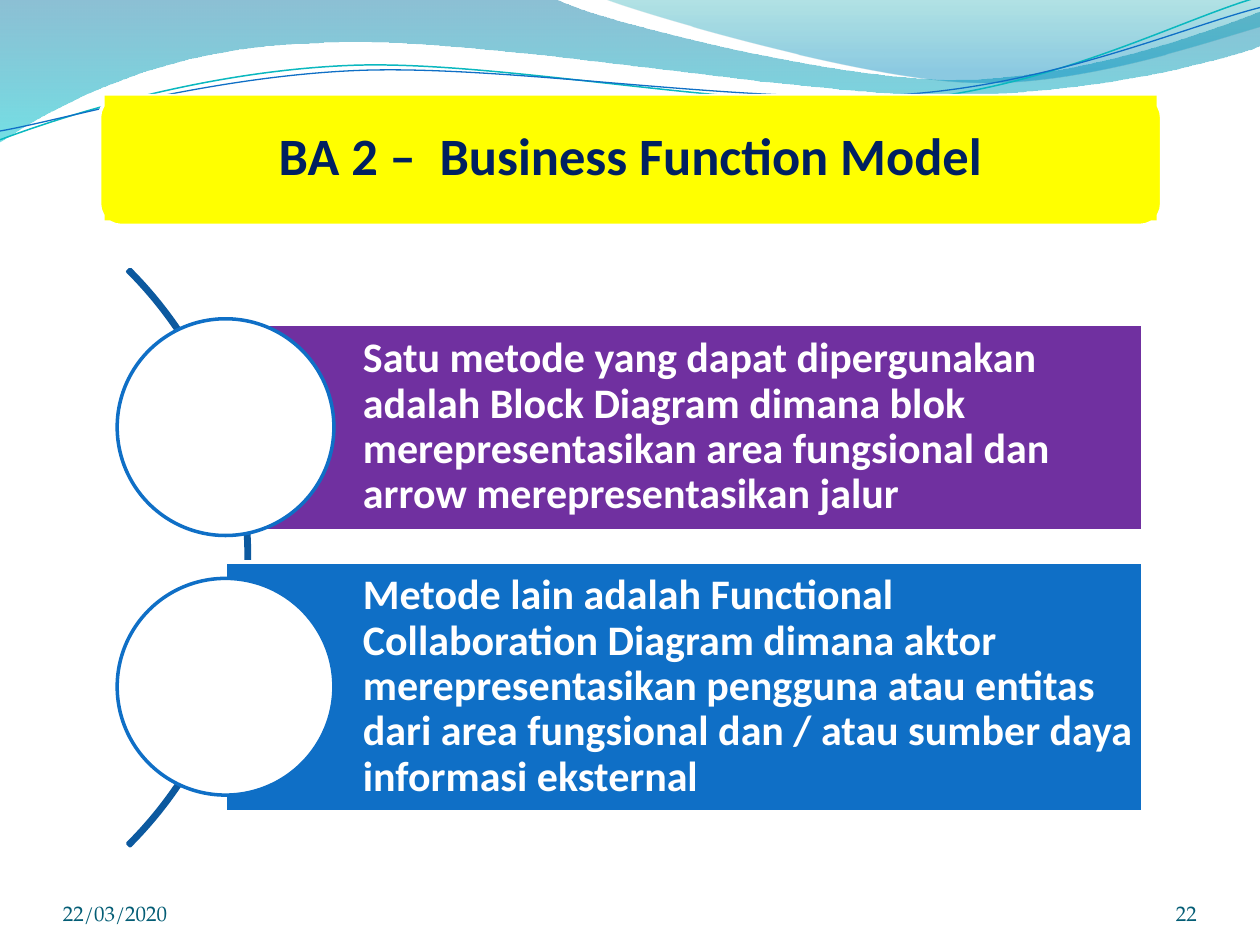
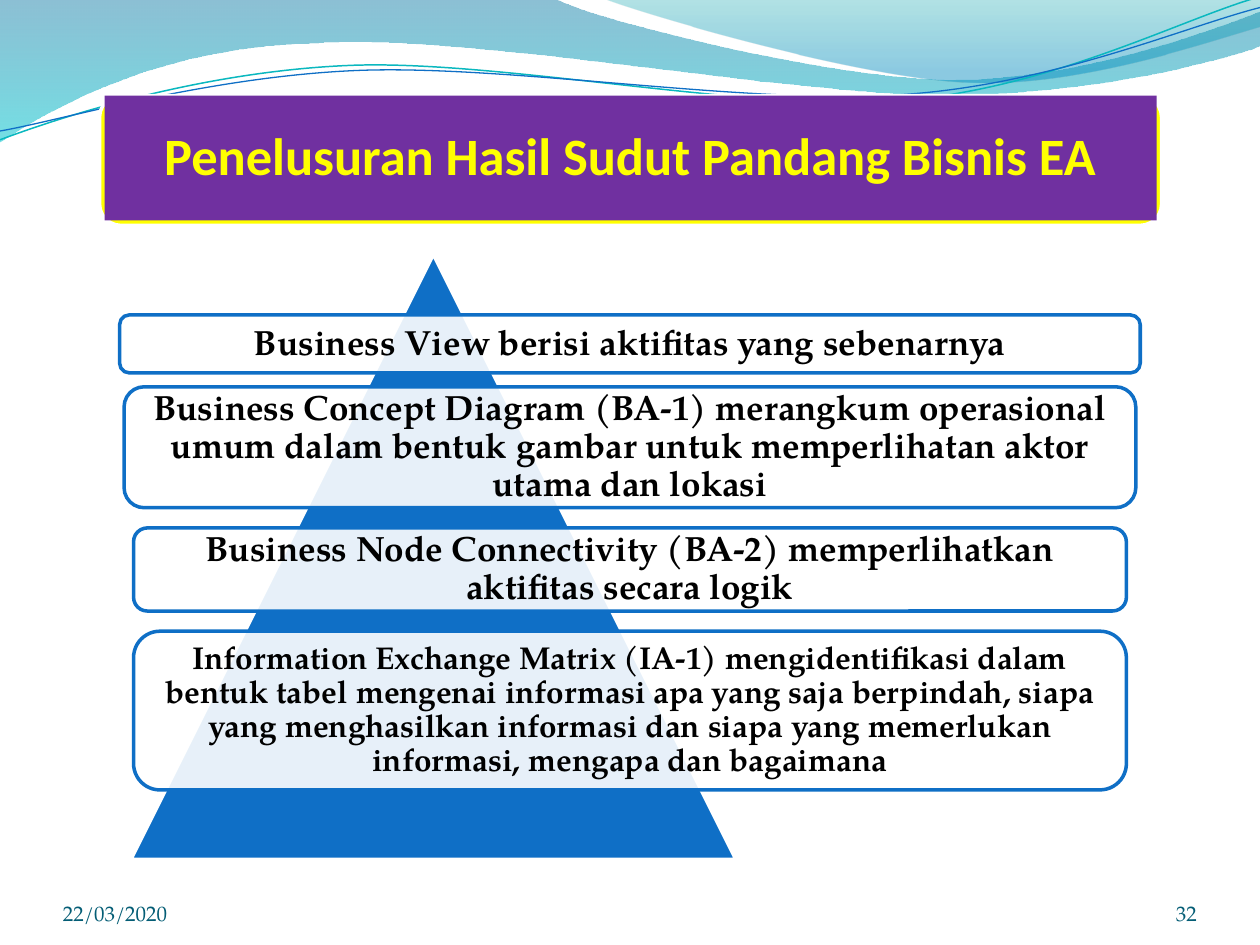
"""Builds two slides on business architecture, with a shared wave header, title band and footer."""
import lxml.etree
import pptx
import pptx.dml.color
import pptx.enum.shapes
import pptx.enum.text
import pptx.oxml.ns
import pptx.util

Inches = pptx.util.Inches
Pt = pptx.util.Pt
RGBColor = pptx.dml.color.RGBColor
SHAPE = pptx.enum.shapes.MSO_SHAPE
ANCHOR = pptx.enum.text.MSO_ANCHOR
ALIGN = pptx.enum.text.PP_ALIGN

WHITE = RGBColor(0xFF, 0xFF, 0xFF)
BLACK = RGBColor(0x00, 0x00, 0x00)
YELLOW = RGBColor(0xFF, 0xFF, 0x00)
PURPLE = RGBColor(0x70, 0x30, 0xA0)
NAVY = RGBColor(0x00, 0x20, 0x60)
BLUE = RGBColor(0x0F, 0x6F, 0xC6)
ARC_BLUE = RGBColor(0x0C, 0x59, 0x9F)
TEAL = RGBColor(0x0A, 0xB8, 0xBF)
FOOTER_BLUE = RGBColor(0x04, 0x5D, 0x75)
DEEP_SEA = RGBColor(0x00, 0x74, 0xA1)
TURQUOISE = RGBColor(0x00, 0xC6, 0xCF)
LAGOON = RGBColor(0x00, 0xA1, 0xA9)
SKY = RGBColor(0x00, 0x8B, 0xBF)

HEADING_FONT = "Calibri"
BODY_FONT = "TeX Gyre Pagella"
DATE = "22/03/2020"

WAVES = [
    {"outline": [(0, 0), (4.4, -0.01), (4.76, 0.17, 6.64, 0.63, 7.58, 0.63),
                 (8.53, 0.63, 9.58, 0.26, 10, 0.09), (10.01, 0.36),
                 (9.83, 0.44, 8.7, 0.76, 7.46, 0.75), (6.22, 0.75, 3.82, 0.28, 2.57, 0.34),
                 (1.29, 0.36, 0.46, 0.83, -0.01, 1.13), (0, 0)],
     "gradient": [(0, DEEP_SEA, 45), (1, TURQUOISE, 55)]},
    {"outline": [(4.79, -0.01), (5.09, 0.11, 6.82, 0.62, 7.69, 0.65),
                 (8.56, 0.69, 9.61, 0.32, 10, 0.21), (10, 0), (4.79, -0.01)],
     "gradient": [(0, LAGOON, 30), (0.8, SKY, 45)]},
    {"outline": [(0, 1.11), (0.48, 0.93, 1.58, 0.57, 2.77, 0.52),
                 (3.95, 0.47, 5.93, 0.89, 7.13, 0.8), (8.33, 0.71, 9.38, 0.15, 9.98, -0.02)],
     "stroke": (TEAL, 0.85)},
    {"outline": [(0, 1.04), (0.47, 0.96, 1.64, 0.61, 2.83, 0.56),
                 (4.03, 0.51, 5.97, 0.84, 7.17, 0.75), (8.36, 0.67, 9.41, 0.21, 10, 0.06)],
     "stroke": (BLUE, 0.75)},
]

FUNCTION_MODEL = {
    "title": "BA 2 –  Business Function Model", "number": "22",
    "title_fill": YELLOW, "title_colour": NAVY,
    "methods": [
        ("Satu metode yang dapat dipergunakan adalah Block Diagram dimana blok "
         "merepresentasikan area fungsional dan arrow merepresentasikan jalur", PURPLE, 1.64),
        ("Metode lain adalah Functional Collaboration Diagram dimana aktor "
         "merepresentasikan pengguna atau entitas dari area fungsional dan / atau "
         "sumber daya informasi eksternal", BLUE, 1.98),
    ],
}
BUSINESS_VIEW = {
    "title": "Penelusuran Hasil Sudut Pandang Bisnis EA", "number": "32",
    "title_fill": PURPLE, "title_colour": YELLOW,
    "layers": [
        ("Business View berisi aktifitas yang sebenarnya", 2.5, 8.1, 0.46, 20),
        ("Business Concept Diagram (BA-1) merangkum operasional umum dalam bentuk "
         "gambar untuk memperlihatan aktor utama dan lokasi", 3.07, 8.03, 0.96, 20),
        ("Business Node Connectivity (BA-2) memperlihatkan aktifitas secara logik",
         4.19, 7.88, 0.66, 20),
        ("Information Exchange Matrix (IA-1) mengidentifikasi dalam bentuk tabel mengenai "
         "informasi apa yang saja berpindah, siapa yang menghasilkan informasi dan siapa "
         "yang memerlukan informasi, mengapa dan bagaimana", 5.01, 7.88, 1.26, 18),
    ],
}

CENTRE_X = 5
CIRCLE_SIZE = 1.72
CIRCLE_LEFT = 0.93
FIRST_CIRCLE_CENTRE = 3.39
CIRCLE_PITCH = 2.06


def set_opacity(shape, percents):
    """Give the colours of a shape's fill their opacity, in order."""
    for colour, percent in zip(shape.element.xpath("p:spPr/*[not(self::a:ln)]//a:srgbClr"), percents):
        lxml.etree.SubElement(colour, pptx.oxml.ns.qn("a:alpha"), val=str(percent * 1000))


def add_curve(slide, outline, closed):
    """Add a freeform whose six-number pieces are cubic Bezier curves."""
    points = [(Inches(piece[i]), Inches(piece[i + 1]))
              for piece in outline for i in range(0, len(piece), 2)]
    builder = slide.shapes.build_freeform(*points[0])
    builder.add_line_segments(points[1:], close=closed)
    shape = builder.convert_to_shape()
    segments = iter(shape.element.xpath(".//a:lnTo"))
    for piece in outline[1:]:
        segment = next(segments)
        if len(piece) == 6:
            curve = lxml.etree.Element(pptx.oxml.ns.qn("a:cubicBezTo"))
            segment.addprevious(curve)
            for control in (segment, next(segments), next(segments)):
                curve.append(control[0])
                control.getparent().remove(control)
    return shape


def add_waves(master, slide):
    """Draw the waves and place them on the master, behind its placeholders."""
    anchor = master.placeholders[0].element
    for number, wave in enumerate(WAVES, start=101):
        shape = add_curve(slide, wave["outline"], "gradient" in wave)
        shape.shadow.inherit = False
        if "gradient" in wave:
            shape.fill.gradient()
            shape.fill.gradient_angle = 270
            for stop, (position, colour, _) in zip(shape.fill.gradient_stops, wave["gradient"]):
                stop.position = position
                stop.color.rgb = colour
            set_opacity(shape, [opacity for _, _, opacity in wave["gradient"]])
            shape.line.fill.background()
        else:
            colour, weight = wave["stroke"]
            shape.fill.background()
            shape.line.color.rgb = colour
            shape.line.width = Pt(weight)
        shape.element.xpath("p:nvSpPr/p:cNvPr")[0].set("id", str(number))
        anchor.addprevious(shape.element)


def add_shape(slide, kind, box, fill, line):
    """Add a preset shape with a flat fill and a two point outline."""
    shape = slide.shapes.add_shape(kind, *map(Inches, box))
    shape.shadow.inherit = False
    if fill is None:
        shape.fill.background()
    else:
        shape.fill.solid()
        shape.fill.fore_color.rgb = fill
    shape.line.color.rgb = line
    shape.line.width = Pt(2)
    return shape


def write(shape, text, size, font, colour, bold=True, align=ALIGN.LEFT,
          anchor=ANCHOR.MIDDLE, insets=(0, 0, 0, 0), spacing=0.9):
    """Write one formatted run in a shape; insets run left, top, right, bottom."""
    frame = shape.text_frame
    frame.word_wrap = True
    frame.auto_size = pptx.enum.text.MSO_AUTO_SIZE.NONE
    frame.vertical_anchor = anchor
    (frame.margin_left, frame.margin_top,
     frame.margin_right, frame.margin_bottom) = map(Inches, insets)
    paragraph = frame.paragraphs[0]
    paragraph.alignment = align
    paragraph.line_spacing = spacing
    run = paragraph.add_run()
    run.text = text
    run.font.size, run.font.name, run.font.bold = Pt(size), font, bold
    run.font.color.rgb = colour


def add_slide(prs, content):
    """Add a slide with its footer and its title on a yellow band."""
    slide = prs.slides.add_slide(prs.slide_layouts[5])
    for text, left, width, align in ((DATE, 0.5, 2.33, ALIGN.LEFT),
                                     (content["number"], 8.67, 0.83, ALIGN.RIGHT)):
        footer = slide.shapes.add_textbox(*map(Inches, (left, 6.95, width, 0.4)))
        write(footer, text, 12, BODY_FONT, FOOTER_BLUE, False, align, ANCHOR.BOTTOM, spacing=1.0)
    band = add_shape(slide, SHAPE.ROUNDED_RECTANGLE, (0.79, 0.76, 8.43, 1.03), YELLOW, WHITE)
    title = slide.shapes.title
    title.left, title.top, title.width, title.height = map(Inches, (0.83, 0.76, 8.35, 0.99))
    title.fill.solid()
    title.fill.fore_color.rgb = content["title_fill"]
    write(title, content["title"], 30, HEADING_FONT, content["title_colour"],
          align=ALIGN.CENTER, insets=(0.12,) * 4)
    band.element.addnext(title.element)
    return slide


def add_methods(slide, methods):
    """Draw the arc and the text bars, each with a circle on its left end."""
    arc = add_shape(slide, SHAPE.BLOCK_ARC, (-4.49, 1.19, 6.47, 6.47), None, ARC_BLUE)
    for index, value in enumerate((189, 27, 0.004)):
        arc.adjustments[index] = value
    for index, (text, fill, height) in enumerate(methods):
        centre = FIRST_CIRCLE_CENTRE + index * CIRCLE_PITCH
        bar = add_shape(slide, SHAPE.RECTANGLE, (1.79, centre - height / 2, 7.28, height), fill, WHITE)
        write(bar, text, 24, HEADING_FONT, WHITE, insets=(1.09, 0.07, 0.07, 0.07))
        add_shape(slide, SHAPE.OVAL, (CIRCLE_LEFT, centre - CIRCLE_SIZE / 2, CIRCLE_SIZE, CIRCLE_SIZE),
                  WHITE, BLUE)


def add_layers(slide, layers):
    """Draw the pyramid and the translucent layers centred across it."""
    add_shape(slide, SHAPE.ISOSCELES_TRIANGLE, (1.04, 2.02, 4.8, 4.8), BLUE, WHITE)
    for text, top, width, height, size in layers:
        layer = add_shape(slide, SHAPE.ROUNDED_RECTANGLE,
                          (CENTRE_X - width / 2, top, width, height), WHITE, BLUE)
        set_opacity(layer, [90])
        write(layer, text, size, BODY_FONT, BLACK, align=ALIGN.CENTER, insets=(0.08,) * 4)


def main():
    """Build and save the presentation."""
    prs = pptx.Presentation()
    prs.slide_width, prs.slide_height = Inches(10), Inches(7.5)
    function_model = add_slide(prs, FUNCTION_MODEL)
    add_waves(prs.slide_master, function_model)
    add_methods(function_model, FUNCTION_MODEL["methods"])
    add_layers(add_slide(prs, BUSINESS_VIEW), BUSINESS_VIEW["layers"])
    prs.save("out.pptx")


if __name__ == "__main__":
    main()
